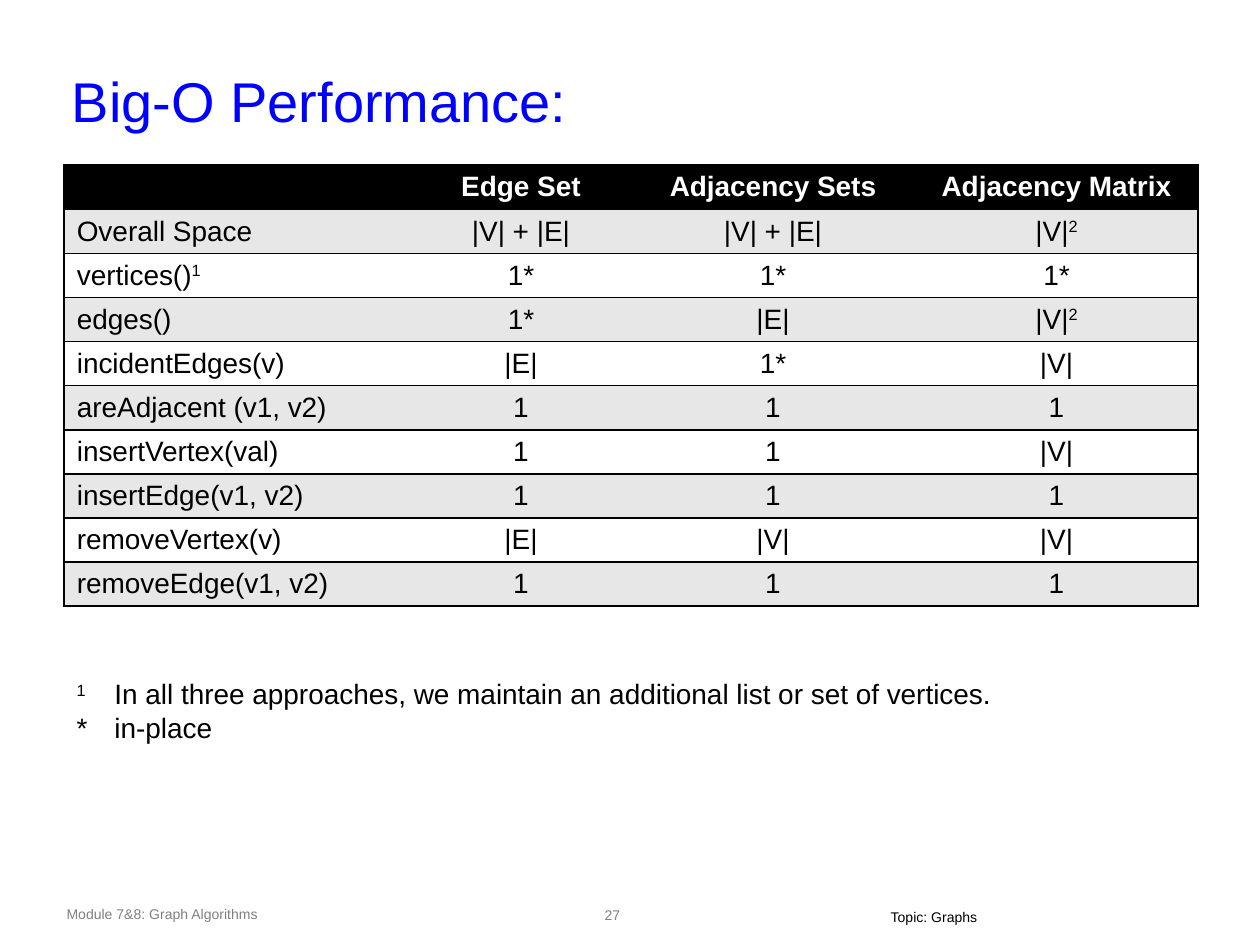
from lxml.etree import SubElement
from pptx import Presentation
from pptx.dml.color import RGBColor
from pptx.enum.shapes import MSO_SHAPE
from pptx.enum.text import MSO_ANCHOR, PP_ALIGN
from pptx.oxml.ns import qn
from pptx.util import Inches, Pt

FONT = "Arial"
COLORS = {"title": "0000FF", "text": "000000", "header": "000000",
          "header_text": "FFFFFF", "band": "E7E7E7", "plain": "FFFFFF",
          "line": "000000", "footer": "808080"}
COLUMN_WIDTHS = [2.75, 1.75, 2.25, 2.25]
ROW_HEIGHT = 0.35
ROWS = [
    ["", "Edge Set", "Adjacency Sets", "Adjacency Matrix"],
    ["Overall Space", "|V| + |E|", "|V| + |E|", "|V|^2"],
    ["vertices()^1", "1*", "1*", "1*"],
    ["edges()", "1*", "|E|", "|V|^2"],
    ["incidentEdges(v)", "|E|", "1*", "|V|"],
    ["areAdjacent (v1, v2)", "1", "1", "1"],
    ["insertVertex(val)", "1", "1", "|V|"],
    ["insertEdge(v1, v2)", "1", "1", "1"],
    ["removeVertex(v)", "|E|", "|V|", "|V|"],
    ["removeEdge(v1, v2)", "1", "1", "1"],
]
FOOTNOTES = [
    ("^1", "In all three approaches, we maintain an additional list or set of vertices."),
    ("*", "in-place"),
]


def rgb(name):
    return RGBColor.from_string(COLORS[name])


def add_run(p, text, size, color, bold=False, superscript=False):
    r = p.add_run()
    r.text = text
    r.font.name = FONT
    r.font.size = Pt(size)
    r.font.bold = bold
    r.font.color.rgb = rgb(color)
    if superscript:
        r._r.get_or_add_rPr().set("baseline", "30000")


def add_marked_text(p, text, size, color, bold=False):
    base, _, raised = text.partition("^")
    if base:
        add_run(p, base, size, color, bold)
    if raised:
        add_run(p, raised, size, color, bold, superscript=True)


def set_insets(tf, left, top, right, bottom):
    tf.margin_left, tf.margin_top = Inches(left), Inches(top)
    tf.margin_right, tf.margin_bottom = Inches(right), Inches(bottom)


def add_title(s, text):
    title = s.shapes.title
    title.left, title.top = Inches(0.5), Inches(0.5)
    title.width, title.height = Inches(8.5), Inches(1.25)
    tf = title.text_frame
    tf.vertical_anchor = MSO_ANCHOR.TOP
    set_insets(tf, 0.07, 0.03, 0.07, 0.03)
    p = tf.paragraphs[0]
    p.alignment = PP_ALIGN.LEFT
    add_run(p, text, 32, "title")


def add_text_box(s, left, top, width, height, wrap=True):
    box = s.shapes.add_textbox(Inches(left), Inches(top), Inches(width), Inches(height))
    box.text_frame.word_wrap = wrap
    return box.text_frame


def set_borders(cell, visible):
    tcPr = cell._tc.get_or_add_tcPr()
    for side in "LRTB":
        ln = SubElement(tcPr, qn(f"a:ln{side}"), w=str(Pt(1)))
        if side in visible:
            fill = SubElement(ln, qn("a:solidFill"))
            SubElement(fill, qn("a:srgbClr"), val=COLORS["line"])
        else:
            SubElement(ln, qn("a:noFill"))


def format_cell(cell, text, row, col):
    header = row == 0
    sides = {0: "LTB", len(COLUMN_WIDTHS) - 1: "RTB"}
    set_borders(cell, sides.get(col, "TB"))
    cell.fill.solid()
    cell.fill.fore_color.rgb = rgb("header" if header else "band" if row % 2 else "plain")
    cell.vertical_anchor = MSO_ANCHOR.MIDDLE
    cell.margin_top = cell.margin_bottom = Inches(0.04)
    p = cell.text_frame.paragraphs[0]
    p.font.size = Pt(16)
    p.alignment = PP_ALIGN.CENTER if col else PP_ALIGN.LEFT
    add_marked_text(p, text, 16, "header_text" if header else "text", bold=header)


def add_performance_table(s):
    table = s.shapes.add_table(
        len(ROWS), len(COLUMN_WIDTHS), Inches(0.51), Inches(1.31),
        Inches(sum(COLUMN_WIDTHS)), Inches(ROW_HEIGHT * len(ROWS))).table
    for column, width in zip(table.columns, COLUMN_WIDTHS):
        column.width = Inches(width)
    for i, values in enumerate(ROWS):
        table.rows[i].height = Inches(ROW_HEIGHT)
        for j, text in enumerate(values):
            format_cell(table.cell(i, j), text, i, j)


def add_footnotes(s):
    tf = add_text_box(s, 0.51, 5.32, 7.58, 0.91)
    for i, (mark, note) in enumerate(FOOTNOTES):
        p = tf.add_paragraph() if i else tf.paragraphs[0]
        pPr = p._p.get_or_add_pPr()
        pPr.set("marL", str(Inches(0.3)))
        pPr.set("indent", str(Inches(-0.3)))
        add_marked_text(p, mark, 16, "text")
        add_run(p, "\t" + note, 16, "text")


def add_page_number(s, number):
    sp = s.shapes.add_shape(MSO_SHAPE.OVAL, Inches(4.74), Inches(7.13),
                            Inches(0.24), Inches(0.26))
    sp.shadow.inherit = False
    sp.fill.background()
    sp.line.fill.background()
    tf = sp.text_frame
    tf.word_wrap = False
    tf.vertical_anchor = MSO_ANCHOR.MIDDLE
    set_insets(tf, 0.04, 0.04, 0.04, 0.04)
    p = tf.paragraphs[0]
    p.alignment = PP_ALIGN.CENTER
    add_run(p, number, 8, "footer")


def add_footer(s):
    add_page_number(s, "27")
    module = add_text_box(s, 0.43, 7.14, 3.64, 0.24)
    add_run(module.paragraphs[0], "Module 7&8: Graph Algorithms", 8, "footer")
    topic = add_text_box(s, 6.97, 7.21, 0.89, 0.17, wrap=False)
    set_insets(topic, 0.1, 0, 0.1, 0.04)
    add_run(topic.paragraphs[0], "Topic: Graphs", 8, "text")


def main():
    prs = Presentation()
    prs.slide_width, prs.slide_height = Inches(10), Inches(7.5)
    s = prs.slides.add_slide(prs.slide_layouts[5])
    add_title(s, "Big-O Performance:")
    add_performance_table(s)
    add_footnotes(s)
    add_footer(s)
    prs.save("out.pptx")


if __name__ == "__main__":
    main()
